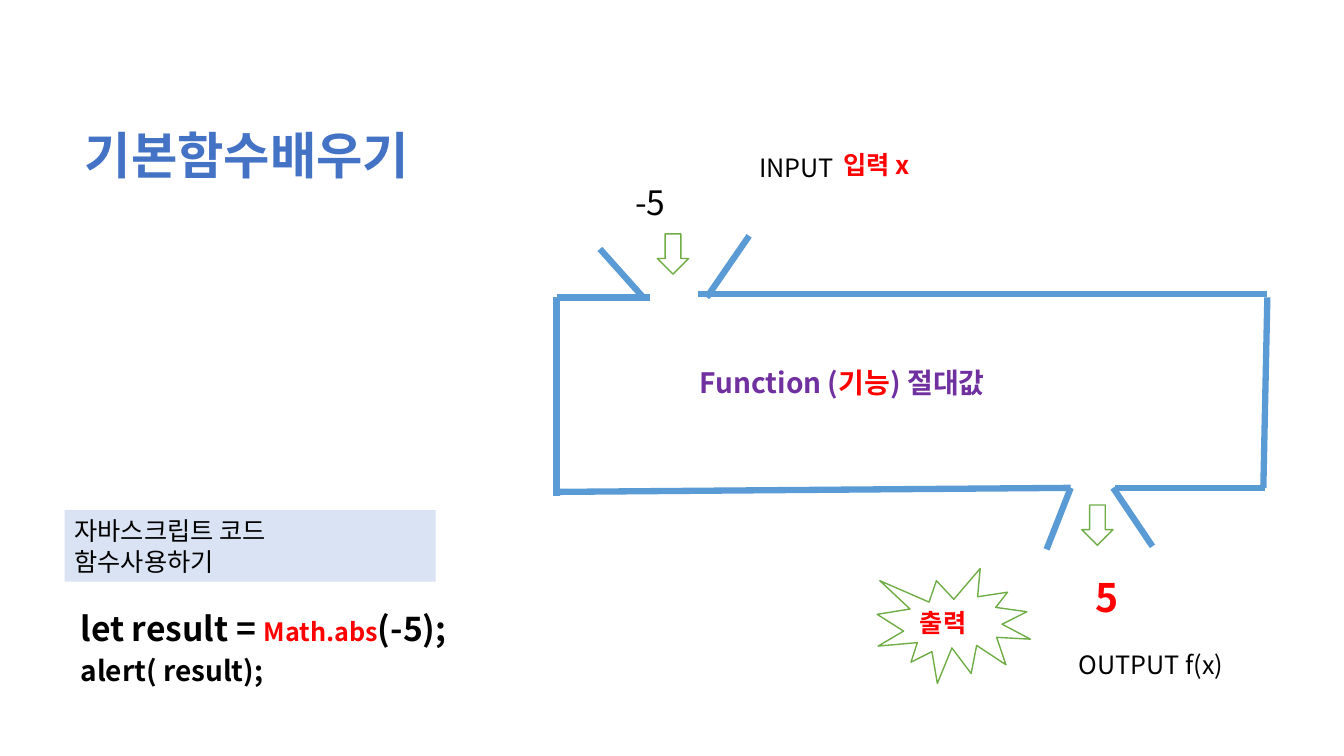
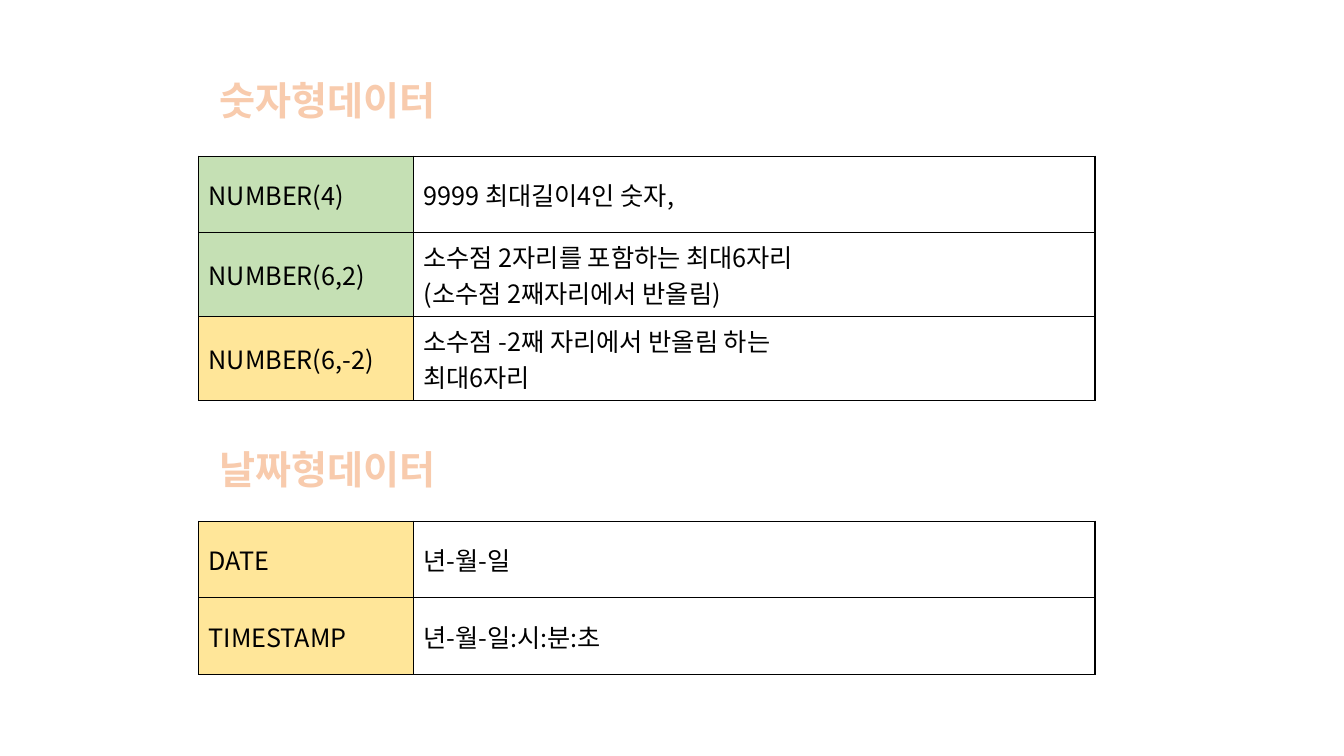
from lxml.etree import SubElement
from pptx import Presentation
from pptx.dml.color import RGBColor
from pptx.enum.shapes import MSO_CONNECTOR, MSO_SHAPE
from pptx.enum.text import MSO_ANCHOR, PP_ALIGN
from pptx.oxml import parse_xml
from pptx.oxml.ns import nsdecls, qn
from pptx.util import Pt

PX = 9144  # 100 px to the inch
FONT = "Noto Sans CJK KR"
BLACK = RGBColor(0x00, 0x00, 0x00)
WHITE = RGBColor(0xFF, 0xFF, 0xFF)
RED = RGBColor(0xFF, 0x00, 0x00)
PURPLE = RGBColor(0x70, 0x30, 0xA0)
BLUE = RGBColor(0x44, 0x72, 0xC4)
PIPE_BLUE = RGBColor(0x5B, 0x9B, 0xD5)
PALE_BLUE = RGBColor(0xDA, 0xE3, 0xF3)
GREEN = RGBColor(0x70, 0xAD, 0x47)
PALE_GREEN = RGBColor(0xC5, 0xE0, 0xB4)
PALE_YELLOW = RGBColor(0xFF, 0xE6, 0x99)
PEACH = RGBColor(0xF8, 0xCB, 0xAD)
ORANGE = RGBColor(0xED, 0x7D, 0x31)


def write(frame, *paragraphs, size=18, color=BLACK, bold=False,
          align=PP_ALIGN.LEFT, outline=None):
    """Fill a text frame. A paragraph is a string or a list of
    (text, color, size) runs; outline is (color, points)."""
    for index, runs in enumerate(paragraphs):
        paragraph = frame.paragraphs[0] if index == 0 else frame.add_paragraph()
        paragraph.alignment = align
        if isinstance(runs, str):
            runs = [(runs, color, size)]
        for text, run_color, run_size in runs:
            run = paragraph.add_run()
            run.text = text
            run.font.name = FONT
            run.font.size = Pt(run_size)
            run.font.bold = bold
            run.font.color.rgb = run_color
            properties = run._r.get_or_add_rPr()
            SubElement(properties, qn("a:ea"), typeface=FONT)
            if outline:
                line_color, points = outline
                properties.insert(0, parse_xml(
                    f'<a:ln {nsdecls("a")} w="{Pt(points)}"><a:solidFill>'
                    f'<a:srgbClr val="{line_color}"/></a:solidFill></a:ln>'))


def add_text(slide, at, *paragraphs, wrap=True, **text_format):
    box = slide.shapes.add_textbox(*(length * PX for length in at))
    box.text_frame.word_wrap = wrap
    write(box.text_frame, *paragraphs, **text_format)


presentation = Presentation()
presentation.slide_width = 1333 * PX
presentation.slide_height = 750 * PX
blank = presentation.slide_layouts[6]
title_style = {"wrap": False, "bold": True, "align": PP_ALIGN.CENTER}

# Function machine
slide = presentation.slides.add_slide(blank)

pipe_lines = [
    (595, 247, 638, 295), (743, 234, 701, 295),  # input funnel
    (692, 292, 1257, 292), (552, 295, 645, 295),  # top
    (552, 295, 552, 492), (1257, 295, 1253, 484),  # sides
    (552, 488, 1062, 484), (1106, 484, 1255, 484),  # bottom
    (1062, 484, 1038, 545), (1104, 484, 1143, 542),  # output funnel
]
for ends in pipe_lines:
    connector = slide.shapes.add_connector(
        MSO_CONNECTOR.STRAIGHT, *(length * PX for length in ends))
    connector.line.color.rgb = PIPE_BLUE
    connector.line.width = Pt(4.5)
    SubElement(connector._element.spPr, qn("a:effectLst"))

add_text(slide, (58, 118, 374, 71), "기본함수배우기", size=36, color=BLUE,
         outline=(WHITE, 0.75), **title_style)
add_text(slide, (684, 358, 429, 44),
         [("Function (", PURPLE, 20), ("기능", RED, 20), (") 절대값", PURPLE, 20)],
         bold=True)
add_text(slide, (743, 146, 181, 40), "INPUT")
add_text(slide, (827, 143, 121, 40), "입력 x", color=RED, bold=True)
add_text(slide, (620, 176, 123, 50), "-5", size=24)
add_text(slide, (1077, 564, 181, 57), "5", size=28, color=RED, bold=True)
add_text(slide, (1060, 639, 216, 40), "OUTPUT f(x)")
add_text(slide, (70, 598, 673, 50),
         [("let result = ", BLACK, 24), ("Math.abs", RED, 18), ("(-5);", BLACK, 24)],
         bold=True)
add_text(slide, (70, 643, 673, 44), "alert( result);", size=20, bold=True)

shapes = [
    (MSO_SHAPE.RECTANGLE, (64, 506, 368, 71), PALE_BLUE, None,
     ["자바스크립트 코드", "함수사용하기"], {}),
    (MSO_SHAPE.DOWN_ARROW, (1073, 501, 31, 40), WHITE, GREEN, [], {}),
    (MSO_SHAPE.DOWN_ARROW, (652, 232, 31, 40), WHITE, GREEN, [], {}),
    (MSO_SHAPE.EXPLOSION1, (870, 564, 152, 114), WHITE, GREEN,
     ["출력"], {"color": RED, "bold": True}),
]
for kind, at, fill, line, paragraphs, text_format in shapes:
    shape = slide.shapes.add_shape(kind, *(length * PX for length in at))
    shape.shadow.inherit = False
    shape.fill.solid()
    shape.fill.fore_color.rgb = fill
    if line:
        shape.line.color.rgb = line
        shape.line.width = Pt(1)
    else:
        shape.line.fill.background()
    shape.text_frame.vertical_anchor = MSO_ANCHOR.MIDDLE
    write(shape.text_frame, *paragraphs, **text_format)

# Data types
slide = presentation.slides.add_slide(blank)
COLUMN_WIDTHS = (213, 676)
ROW_HEIGHTS = {1: 76, 2: 83}  # by lines of text

sections = [
    ("숫자형데이터", 71, 155, [
        ("NUMBER(4)", PALE_GREEN, ["9999 최대길이4인 숫자,"]),
        ("NUMBER(6,2)", PALE_GREEN,
         ["소수점 2자리를 포함하는 최대6자리", "(소수점 2째자리에서 반올림)"]),
        ("NUMBER(6,-2)", PALE_YELLOW,
         ["소수점 -2째 자리에서 반올림 하는", "최대6자리"]),
    ]),
    ("날짜형데이터", 437, 517, [
        ("DATE", PALE_YELLOW, ["년-월-일"]),
        ("TIMESTAMP", PALE_YELLOW, ["년-월-일:시:분:초"]),
    ]),
]
for title, title_top, table_top, rows in sections:
    add_text(slide, (197, title_top, 256, 57), title, size=28, color=PEACH,
             outline=(ORANGE, 1.75), **title_style)
    heights = [ROW_HEIGHTS[len(description)] for _, _, description in rows]
    table = slide.shapes.add_table(
        len(rows), len(COLUMN_WIDTHS), 197 * PX, table_top * PX,
        sum(COLUMN_WIDTHS) * PX, sum(heights) * PX).table
    table.first_row = table.horz_banding = False
    for column, width in zip(table.columns, COLUMN_WIDTHS):
        column.width = width * PX
    for row_index, (data_type, fill, description) in enumerate(rows):
        table.rows[row_index].height = heights[row_index] * PX
        contents = [([data_type], fill), (description, WHITE)]
        for column_index, (paragraphs, cell_fill) in enumerate(contents):
            cell = table.cell(row_index, column_index)
            cell.vertical_anchor = MSO_ANCHOR.MIDDLE
            cell.fill.solid()
            cell.fill.fore_color.rgb = cell_fill
            write(cell.text_frame, *paragraphs)
            for position, side in enumerate("LRTB"):
                cell._tc.get_or_add_tcPr().insert(position, parse_xml(
                    f'<a:ln{side} {nsdecls("a")} w="{Pt(1)}"><a:solidFill>'
                    f'<a:srgbClr val="{BLACK}"/></a:solidFill></a:ln{side}>'))

presentation.save("out.pptx")
